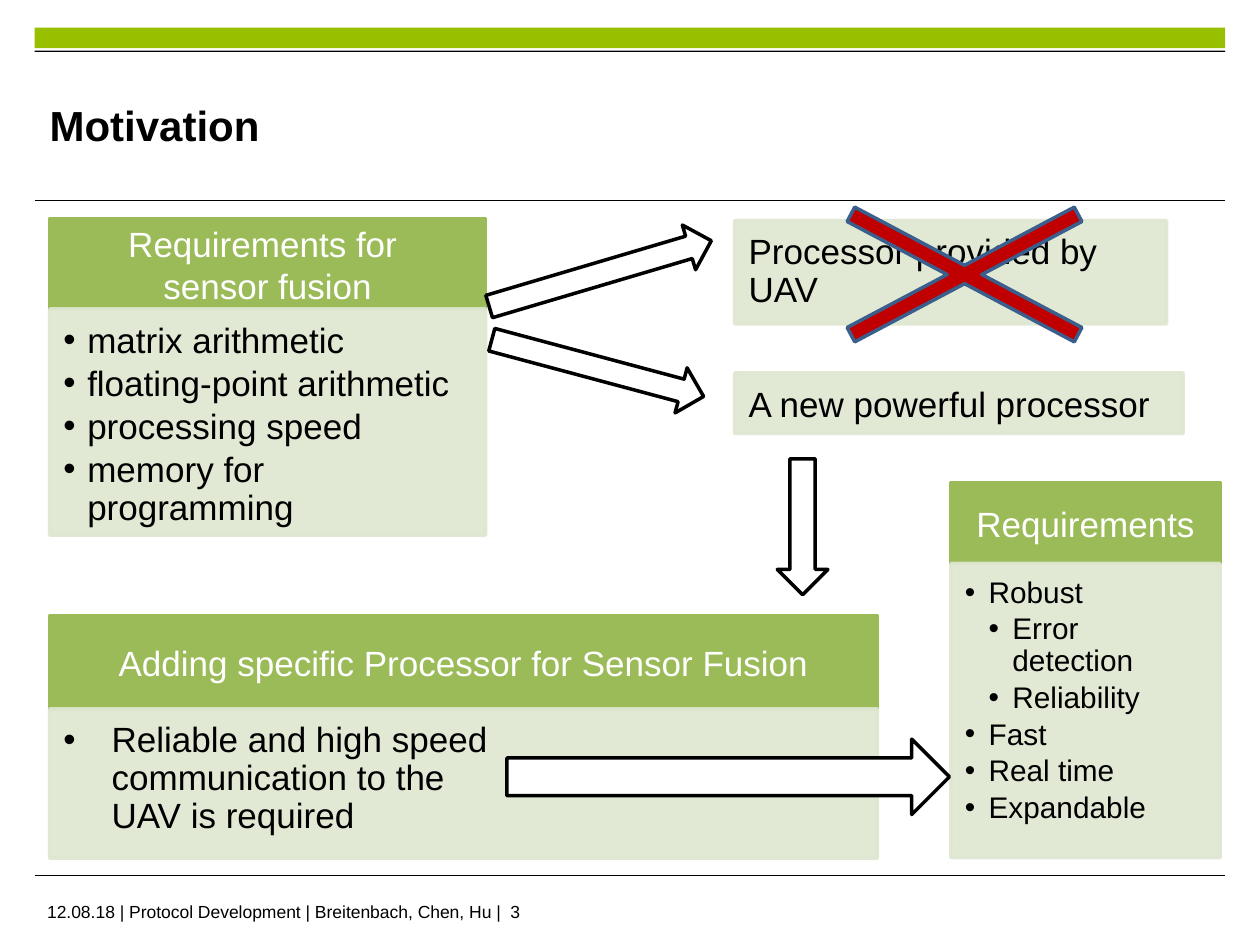
from lxml import etree
from pptx import Presentation
from pptx.dml.color import RGBColor
from pptx.enum.shapes import MSO_CONNECTOR, MSO_SHAPE
from pptx.enum.text import MSO_ANCHOR, PP_ALIGN
from pptx.oxml.ns import qn
from pptx.util import Cm, Pt

RECT, DOWN, TIMES = MSO_SHAPE.RECTANGLE, MSO_SHAPE.DOWN_ARROW, MSO_SHAPE.MATH_MULTIPLY
LINE = MSO_CONNECTOR.STRAIGHT
TOP, MIDDLE = MSO_ANCHOR.TOP, MSO_ANCHOR.MIDDLE
LEFT, CENTER = PP_ALIGN.LEFT, PP_ALIGN.CENTER

BLACK = RGBColor(0x00, 0x00, 0x00)
WHITE = RGBColor(0xFF, 0xFF, 0xFF)
LIME = RGBColor(0x99, 0xC0, 0x00)
GREEN = RGBColor(0x9B, 0xBB, 0x59)
PALE = RGBColor(0xDE, 0xE7, 0xD1)
RED = RGBColor(0xC0, 0x00, 0x00)
BLUE = RGBColor(0x3A, 0x5F, 0x8C)


def add_shape(slide, kind, box, fill, edge=None, alpha=100):
    shape = slide.shapes.add_shape(kind, *map(Cm, box))
    shape.shadow.inherit = False
    shape.fill.solid()
    shape.fill.fore_color.rgb = fill
    if edge is None:
        shape.line.fill.background()
    else:
        shape.line.color.rgb = edge
        shape.line.width = Pt(2)
    if alpha < 100:
        for color in shape._element.spPr.iter(qn("a:srgbClr")):
            etree.SubElement(color, qn("a:alpha"), val=str(alpha * 1000))
    return shape


def set_frame(shape, insets, anchor):
    frame = shape.text_frame
    frame.word_wrap = True
    frame.vertical_anchor = anchor
    (frame.margin_left, frame.margin_top,
     frame.margin_right, frame.margin_bottom) = map(Cm, insets)
    return frame


def style(par, size, color=BLACK, align=LEFT, bold=False):
    par.alignment = align
    for run in par.runs:
        font = run.font
        font.name, font.size, font.bold = "Arial", Pt(size), bold
        font.color.rgb = color


def add_bullet(par, level, indent):
    props = par._p.get_or_add_pPr()
    props.set("marL", str(Cm(indent * (level + 1))))
    props.set("indent", str(-Cm(indent)))
    etree.SubElement(props, qn("a:buFont"), typeface="Arial")
    etree.SubElement(props, qn("a:buChar"), char="•")


def add_panel(slide, box, items, size=20, indent=0):
    shape = add_shape(slide, RECT, box, PALE, PALE, 90)
    frame = set_frame(shape, (0.28, 0.28, 0.38, 0.43), TOP)
    frame.text = "\n".join(text for text, level in items)
    for par, (text, level) in zip(frame.paragraphs, items):
        style(par, size)
        par.line_spacing = 0.9
        par.space_after = Pt(size * 0.15)
        if indent:
            add_bullet(par, level, indent)


def add_card(slide, box, head, title, items, size=20, indent=0.48):
    left, top, width, height = box
    shape = add_shape(slide, RECT, (left, top, width, head), GREEN, GREEN)
    frame = set_frame(shape, (0.35, 0.2, 0.35, 0.2), MIDDLE)
    frame.text = title
    for par in frame.paragraphs:
        style(par, 20, WHITE, CENTER)
    add_panel(slide, (left, top + head, width, height - head), items, size, indent)


def add_rule(slide, left, top, width):
    rule = slide.shapes.add_connector(LINE, Cm(left), Cm(top), Cm(left + width), Cm(top))
    rule.line.color.rgb = BLACK
    rule.line.width = Pt(0.6)
    etree.SubElement(rule._element.spPr, qn("a:effectLst"))


def add_header(slide, box, text):
    left, top, width, height = box
    add_shape(slide, RECT, (left, top, width, 0.41), LIME)
    add_shape(slide, RECT, (left, top + 0.46, width, 0.03), BLACK)
    add_rule(slide, left, top + height, width)
    title = slide.shapes.title
    title.left, title.top = Cm(left + 0.3), Cm(top + 0.79)
    title.width, title.height = Cm(18.44), Cm(2.34)
    frame = set_frame(title, (0, 0, 0, 0), MIDDLE)
    frame.text = text
    style(frame.paragraphs[0], 24, bold=True)


def add_footer(slide, box, text):
    left, top, width, height = box
    add_rule(slide, left, top, width)
    note = slide.shapes.add_textbox(Cm(left), Cm(top + 0.38), Cm(20.6), Cm(height - 0.38))
    frame = set_frame(note, (0.25, 0.13, 0.25, 0.13), TOP)
    frame.text = text
    style(frame.paragraphs[0], 10)


def add_arrow(slide, box, angle):
    add_shape(slide, DOWN, box, WHITE, BLACK).rotation = angle


def add_cross(slide, box):
    add_shape(slide, TIMES, box, RED, BLUE).adjustments[0] = 0.07


def main():
    deck = Presentation()
    deck.slide_width, deck.slide_height = Cm(25.4), Cm(19.05)
    slide = deck.slides.add_slide(deck.slide_layouts[5])

    add_header(slide, (0.7, 0.56, 24, 3.48), "Motivation")
    add_footer(slide, (0.7, 17.65, 24, 1.02),
               "12.08.18 | Protocol Development | Breitenbach, Chen, Hu |  3")

    add_card(slide, (1, 12.42, 16.69, 4.88), 1.87,
             "Adding specific Processor for Sensor Fusion",
             [("Reliable and high speed \vcommunication to the \vUAV is required", 0)],
             indent=0.97)
    add_card(slide, (1, 4.42, 8.79, 6.37), 1.81,
             "Requirements for \nsensor fusion",
             [("matrix arithmetic", 0), ("floating-point arithmetic", 0),
              ("processing speed", 0), ("memory for programming", 0)])
    add_card(slide, (19.17, 9.73, 5.43, 7.56), 1.63, "Requirements",
             [("Robust", 0), ("Error detection", 1), ("Reliability", 1),
              ("Fast", 0), ("Real time", 0), ("Expandable", 0)], size=17)

    add_panel(slide, (14.81, 4.45, 8.71, 2.08), [("Processor provided by UAV", 0)])
    add_panel(slide, (14.81, 7.52, 9.04, 1.22), [("A new powerful processor", 0)])

    add_arrow(slide, (15.67, 9.25, 1.02, 2.74), 0)
    add_arrow(slide, (11.63, 3.18, 0.94, 4.67), 253.5)
    add_arrow(slide, (11.58, 5.21, 0.94, 4.42), 285)
    add_arrow(slide, (13.92, 11.2, 1.52, 8.92), 270)
    add_cross(slide, (15.04, 3.2, 8.81, 4.67))

    deck.save("out.pptx")


if __name__ == "__main__":
    main()
